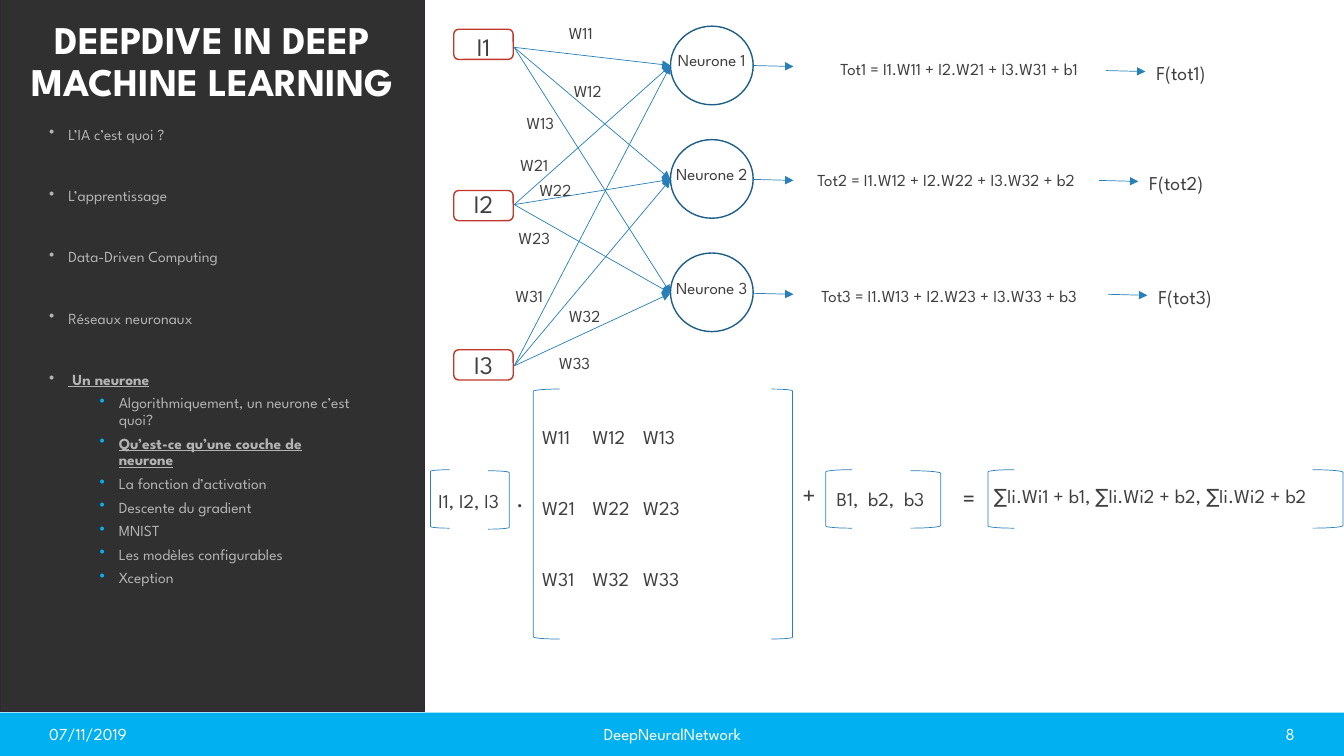
import pptx
import pptx.dml.color
import pptx.enum.shapes
import pptx.enum.text
import pptx.oxml.ns
import pptx.util
from lxml import etree

Inches, Pt = pptx.util.Inches, pptx.util.Pt
RGBColor = pptx.dml.color.RGBColor
Kind = pptx.enum.shapes.MSO_SHAPE
Align = pptx.enum.text.PP_ALIGN
Anchor = pptx.enum.text.MSO_ANCHOR
Fit = pptx.enum.text.MSO_AUTO_SIZE
qn = pptx.oxml.ns.qn

FONT = "League Spartan"
WHITE = RGBColor(0xFF, 0xFF, 0xFF)
CYAN = RGBColor(0x00, 0xB0, 0xF0)
DARK = RGBColor(0x30, 0x30, 0x30)
PLUM = RGBColor(0x37, 0x21, 0x3B)
PALE = RGBColor(0xB3, 0xB3, 0xB3)
GREY = RGBColor(0x40, 0x40, 0x40)
NAVY = RGBColor(0x1E, 0x5F, 0x89)
BLUE = RGBColor(0x28, 0x80, 0xB9)
RED = RGBColor(0xC0, 0x38, 0x2B)

deck = pptx.Presentation()
deck.slide_width, deck.slide_height = Inches(13.33), Inches(7.5)
slide = deck.slides.add_slide(deck.slide_layouts[5])
shapes = slide.shapes


def draw(kind, box, fill=None, line=None, width=1):
    item = shapes.add_shape(kind, *map(Inches, box))
    item.shadow.inherit = False
    if fill is None:
        item.fill.background()
    else:
        item.fill.solid()
        item.fill.fore_color.rgb = fill
    if line is None:
        item.line.fill.background()
    else:
        item.line.color.rgb = line
        item.line.width = Pt(width)


def write(box, lines, size=12, color=GREY, align=Align.LEFT, anchor=Anchor.TOP):
    frame = shapes.add_textbox(*map(Inches, box)).text_frame
    frame.word_wrap = True
    frame.vertical_anchor = anchor
    frame.text = lines
    for par in frame.paragraphs:
        par.alignment = align
        par.font.name, par.font.size = FONT, Pt(size)
        par.font.color.rgb = color
    return frame.paragraphs


# Footer band and side panel
draw(Kind.RECTANGLE, (0, 7.07, 13.33, 0.43), CYAN)
draw(Kind.RECTANGLE, (0, -0.01, 4.21, 7.07), DARK, PLUM)
for left, width, text, align in [
    (0.39, 3, "07/11/2019", Align.LEFT),
    (4.42, 4.5, "DeepNeuralNetwork", Align.CENTER),
    (9.94, 3, "8", Align.RIGHT),
]:
    write((left, 7.08, width, 0.4), text, 12, WHITE, align, Anchor.MIDDLE)

# Title, raised above the panel
title = shapes.title
title.left, title.top, title.width, title.height = map(Inches, (0, 0.15, 4.21, 1.85))
frame = title.text_frame
frame.text = "DEEPDIVE IN DEEP MACHINE LEARNING"
frame.word_wrap, frame.auto_size = True, Fit.NONE
frame.vertical_anchor = Anchor.TOP
head = frame.paragraphs[0]
head.alignment, head.line_spacing = Align.CENTER, 0.9
head.font.name, head.font.size, head.font.bold = FONT, Pt(28), True
head.font.color.rgb = WHITE
shapes._spTree.append(title._element)

# Outline: five topics, then the parts of the last one
topics = ["L’IA c’est quoi ?", "L’apprentissage", "Data-Driven Computing",
          "Réseaux neuronaux", " Un neurone"]
parts = ["Algorithmiquement, un neurone c’est quoi?",
         "Qu’est-ce qu’une couche de neurone", "La fonction d’activation",
         "Descente du gradient", "MNIST", "Les modèles configurables", "Xception"]
current = (topics[-1], parts[1])
outline = write((0.39, 1.21, 3.26, 5.27), "\n".join(topics + parts), 11, PALE)
for n, par in enumerate(outline):
    sub = n >= len(topics)
    par.level = int(sub)
    par.line_spacing = 0.9
    par.space_before = Pt(5 if sub else 31.9 if n else 10)
    if par.text in current:
        par.font.bold = par.font.underline = True
    props = par._p.get_or_add_pPr()
    props.set("marL", str(Inches(0.69 if sub else 0.19)))
    props.set("indent", str(Inches(-0.19)))
    marks = [etree.Element(qn("a:buChar"), char="•")]
    if sub:
        tint = etree.Element(qn("a:buClr"))
        etree.SubElement(tint, qn("a:srgbClr"), val=str(CYAN))
        marks.insert(0, tint)
    place = props.index(props.find(qn("a:defRPr")))
    props[place:place] = marks

# Network: one row per input, neurone and output
tops = [0.29, 1.89, 3.47]
ports = [0.47, 2.03, 3.63]
hubs = [0.65, 1.78, 2.91]
sums = [(7.88, 0.53, 3.27), (7.82, 1.63, 3.13), (7.87, 2.79, 3.09)]
outs = [(10.97, 0.7), (10.9, 1.79), (10.99, 2.92)]
arrows = [(5.1, port, 6.65, hub) for port in ports for hub in hubs]
for n in range(3):
    num = n + 1
    draw(Kind.OVAL, (6.65, 0.26 + 1.125 * n, 0.82, 0.78), None, NAVY)
    draw(Kind.ROUNDED_RECTANGLE, (4.5, tops[n], 0.59, 0.3), None, RED)
    write((4.5, ports[n] - 0.21, 0.59, 0.4), f"I{num}", 18, align=Align.CENTER)
    write((6.58, 0.44 + 1.135 * n, 0.96, 0.5), f"Neurone {num}", align=Align.CENTER)
    left, top, width = sums[n]
    terms = " + ".join(f"I{k}.W{k}{num}" for k in (1, 2, 3))
    write((left, top, width, 0.3), f"Tot{num} = {terms} + b{num}", align=Align.CENTER)
    left, top = outs[n]
    write((left + 0.4, top - 0.14, 0.83, 0.34), f"F(tot{num})", 14)
    arrows += [(7.47, hubs[n], 7.87, hubs[n] + 0.01),
               (left, top, left + 0.39, top + 0.01)]

for x1, y1, x2, y2 in arrows:
    arrow = shapes.add_connector(pptx.enum.shapes.MSO_CONNECTOR.STRAIGHT,
                                 *map(Inches, (x1, y1, x2, y2)))
    arrow.line.color.rgb, arrow.line.width = BLUE, Pt(0.5)
    etree.SubElement(arrow.line._get_or_add_ln(), qn("a:tailEnd"), type="triangle")
    etree.SubElement(arrow._element.spPr, qn("a:effectLst"))

# Weight names beside the links
spots = [(5.28, 0.18), (5.35, 0.75), (4.88, 1.07),
         (4.82, 1.49), (5.03, 1.73), (4.82, 2.21),
         (4.77, 2.79), (5.32, 2.98), (5.22, 3.45)]
names = [f"W{row}{col}" for row in (1, 2, 3) for col in (1, 2, 3)]
for name, (left, top) in zip(names, spots):
    write((left, top, 0.96, 0.3), name, align=Align.CENTER)

# Matrix equation: brackets, then terms and signs
for kind, left, top, width, height in [
    (Kind.LEFT_BRACKET, 4.27, 4.66, 0.19, 0.58),
    (Kind.RIGHT_BRACKET, 4.84, 4.67, 0.21, 0.58),
    (Kind.LEFT_BRACKET, 5.29, 3.86, 0.26, 2.48),
    (Kind.RIGHT_BRACKET, 7.65, 3.86, 0.21, 2.48),
    (Kind.LEFT_BRACKET, 8.19, 4.66, 0.26, 0.58),
    (Kind.RIGHT_BRACKET, 9.03, 4.67, 0.3, 0.57),
    (Kind.LEFT_BRACKET, 9.8, 4.66, 0.26, 0.58),
    (Kind.RIGHT_BRACKET, 13.02, 4.66, 0.3, 0.58),
]:
    draw(kind, (left, top, width, height), None, BLUE, 0.5)

for left, top, width, text, size in [
    (4.25, 4.8, 0.87, "I1, I2, I3", 14),
    (5.02, 4.74, 0.39, ".", 18),
    (7.86, 4.71, 0.31, "+", 18),
    (8.2, 4.78, 1.32, "B1,  b2,  b3", 14),
    (9.45, 4.74, 0.31, "=", 18),
    (9.76, 4.75, 3.89, "∑Ii.Wi1 + b1, ∑Ii.Wi2 + b2, ∑Ii.Wi2 + b2", 14),
]:
    write((left, top, width, 0.02 * size + 0.05), text, size)

rows = ["\t".join(names[k:k + 3]) for k in (0, 3, 6)]
for par in write((5.28, 4.17, 2.73, 1.75), "\n".join(rows), 14)[1:]:
    par.space_before = Pt(33.6)

deck.save("out.pptx")
